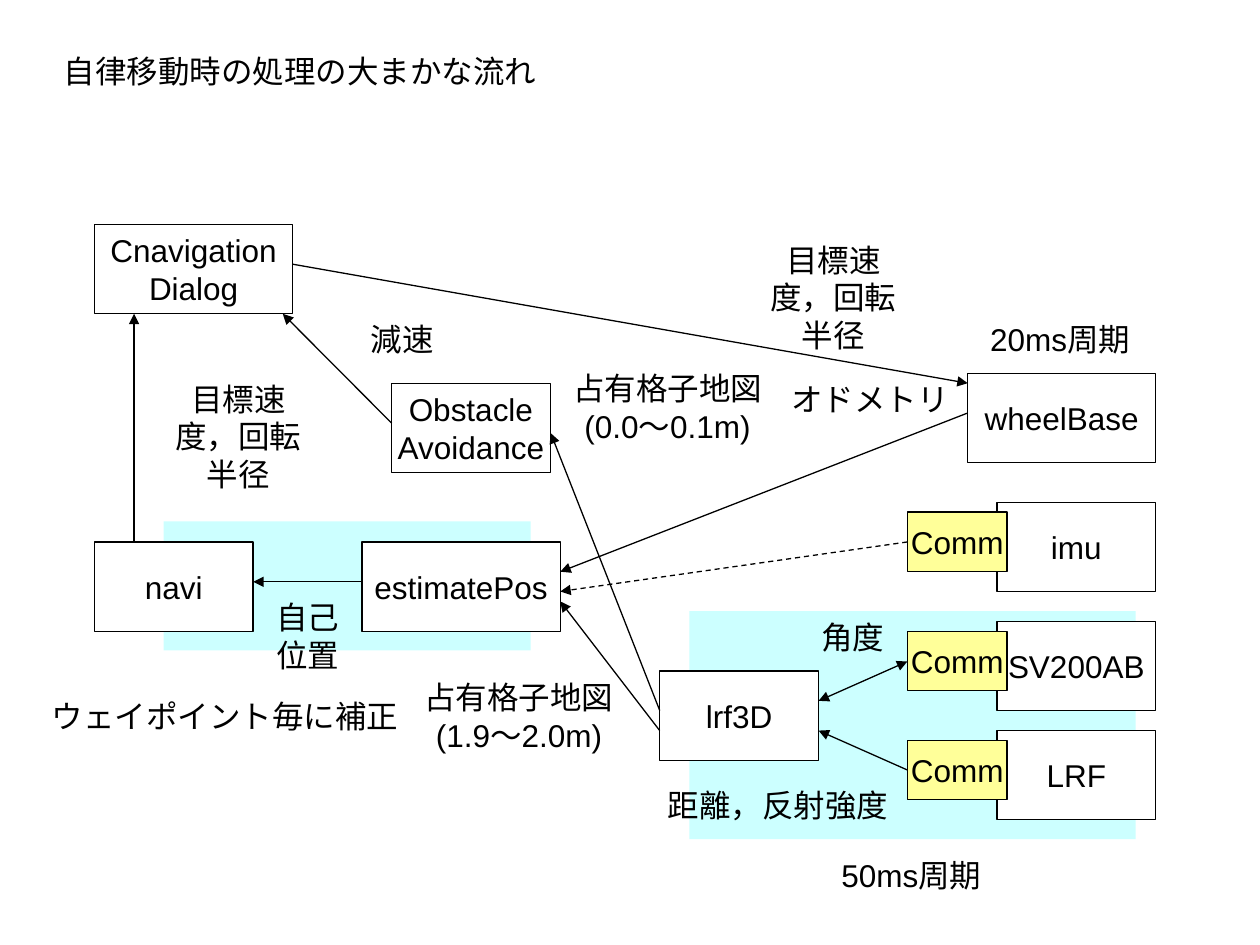
from dataclasses import dataclass

import pptx
import pptx.dml.color
import pptx.enum.dml
import pptx.enum.shapes
import pptx.enum.text
import pptx.oxml
import pptx.oxml.ns
import pptx.slide
import pptx.text.text
import pptx.util

Pt = pptx.util.Pt
Kind = pptx.enum.shapes.MSO_SHAPE
Rgb = pptx.dml.color.RGBColor
Fit = pptx.enum.text.MSO_AUTO_SIZE


@dataclass(frozen=True)
class Theme:
    ink: str = "000000"
    paper: str = "FFFFFF"
    band: str = "CCFFFF"
    port: str = "FFFF99"
    font: str = "Arial"
    size: float = 18
    line: float = 0.75


@dataclass(frozen=True)
class Box:
    text: str
    left: float
    top: float
    width: float
    height: float = 51
    fill: str | None = None
    edge: bool = True


@dataclass(frozen=True)
class Arrow:
    """A line whose tip is at its second point."""
    x1: float
    y1: float
    x2: float
    y2: float
    both: bool = False
    dash: bool = False


@dataclass(frozen=True)
class Label:
    text: str
    left: float
    top: float
    width: float
    height: float = 29
    wrap: bool = False


THEME = Theme()

BANDS = [
    Box("", 93.5, 298, 209.8, 73.7, THEME.band, False),
    Box("", 394, 349.2, 255, 130.3, THEME.band, False),
]
NODES = [
    Box("Cnavigation\nDialog", 54, 128.2, 113.3),
    Box("Obstacle\nAvoidance", 223.8, 219, 90.7),
    Box("wheelBase", 553, 213.3, 107.5),
    Box("navi", 54, 309.7, 90.7, fill=THEME.paper),
    Box("estimatePos", 206.8, 309.7, 113.4, fill=THEME.paper),
    Box("lrf3D", 377, 383.4, 90.7, fill=THEME.paper),
]
SENSORS = {"imu": 287, "SV200AB": 355.2, "LRF": 417.4}

ARROWS = [
    Arrow(167.3, 151, 553, 219),
    Arrow(223.8, 241.8, 161.6, 179.3),
    Arrow(76.6, 309.7, 76.6, 179.3),
    Arrow(206.8, 332.5, 144.7, 332.5),
    Arrow(553, 236, 320.2, 326.7),
    Arrow(518.5, 309.7, 320.2, 338, dash=True),
    Arrow(377, 417.5, 320.2, 343.7),
    Arrow(377, 406, 314.7, 247.5),
    Arrow(467.8, 400.5, 518.5, 378, both=True),
    Arrow(518.5, 440, 467.8, 417.5),
]

LABELS = [
    Label("自律移動時の処理の大まかな流れ", 29.2, 26, 284.5),
    Label("目標速度，回転半径", 428, 134, 96.5, 50.5, True),
    Label("目標速度，回転半径", 88, 213.4, 96.5, 50.5, True),
    Label("減速", 201.3, 179.3, 57, wrap=True),
    Label("自己位置", 150.3, 338.2, 51, 50.5, True),
    Label("20ms周期", 556.5, 179.3, 98.5),
    Label("50ms周期", 471.5, 485.5, 98.5),
    Label("オドメトリ", 445, 213.4, 104.5),
    Label("角度", 462.2, 349.4, 50.5),
    Label("距離，反射強度", 374.2, 445.7, 140.5),
    Label("占有格子地図\n(0.0～0.1m)", 320.2, 207.6, 122.5, 50.5),
    Label("占有格子地図\n(1.9～2.0m)", 235.3, 383.8, 122.5, 50.5),
    Label("ウェイポイント毎に補正", 22.3, 394.6, 212.5),
]


def write(frame: pptx.text.text.TextFrame, text: str, *,
          wrap: bool = False, fit: Fit = Fit.NONE,
          anchor: str = "TOP") -> None:
    """Fill a frame with centred text; punctuation stays inside the margins."""
    frame.word_wrap = wrap
    frame.auto_size = fit
    frame.vertical_anchor = pptx.enum.text.MSO_ANCHOR[anchor]
    frame.text = text
    for para in frame.paragraphs:
        para.alignment = pptx.enum.text.PP_ALIGN.CENTER
        para._p.get_or_add_pPr().set("hangingPunct", "0")
        for run in para.runs:
            run.font.name = THEME.font
            run.font.size = Pt(THEME.size)
            run.font.color.rgb = Rgb.from_string(THEME.ink)


def draw_box(slide: pptx.slide.Slide, box: Box) -> None:
    shape = slide.shapes.add_shape(Kind.RECTANGLE, Pt(box.left), Pt(box.top),
                                   Pt(box.width), Pt(box.height))
    shape.shadow.inherit = False
    if box.fill:
        shape.fill.solid()
        shape.fill.fore_color.rgb = Rgb.from_string(box.fill)
    else:
        shape.fill.background()
    if box.edge:
        shape.line.color.rgb = Rgb.from_string(THEME.ink)
        shape.line.width = Pt(THEME.line)
    else:
        shape.line.fill.background()
    if box.text:
        write(shape.text_frame, box.text, anchor="MIDDLE")


def draw_arrow(slide: pptx.slide.Slide, arrow: Arrow) -> None:
    line = slide.shapes.add_connector(
        pptx.enum.shapes.MSO_CONNECTOR.STRAIGHT,
        Pt(arrow.x1), Pt(arrow.y1), Pt(arrow.x2), Pt(arrow.y2))
    line.line.color.rgb = Rgb.from_string(THEME.ink)
    line.line.width = Pt(THEME.line)
    if arrow.dash:
        line.line.dash_style = pptx.enum.dml.MSO_LINE.DASH
    ends = ["headEnd", "tailEnd"] if arrow.both else ["tailEnd"]
    space = pptx.oxml.ns.nsdecls("a")
    for end in ends:
        line.line._get_or_add_ln().append(
            pptx.oxml.parse_xml(f'<a:{end} {space} type="triangle"/>'))
    line._element.spPr.append(pptx.oxml.parse_xml(f"<a:effectLst {space}/>"))


def draw_label(slide: pptx.slide.Slide, label: Label) -> None:
    shape = slide.shapes.add_textbox(Pt(label.left), Pt(label.top),
                                     Pt(label.width), Pt(label.height))
    write(shape.text_frame, label.text, wrap=label.wrap,
          fit=Fit.SHAPE_TO_FIT_TEXT)


def main() -> None:
    deck = pptx.Presentation()
    deck.slide_width, deck.slide_height = Pt(720), Pt(540)
    slide = deck.slides.add_slide(deck.slide_layouts[6])
    for box in BANDS + NODES:
        draw_box(slide, box)
    for name, top in SENSORS.items():
        draw_box(slide, Box(name, 569.7, top, 90.7, fill=THEME.paper))
        draw_box(slide, Box("Comm", 518.5, top + 5.6, 57, 34, THEME.port))
    for arrow in ARROWS:
        draw_arrow(slide, arrow)
    for label in LABELS:
        draw_label(slide, label)
    deck.save("out.pptx")


if __name__ == "__main__":
    main()
